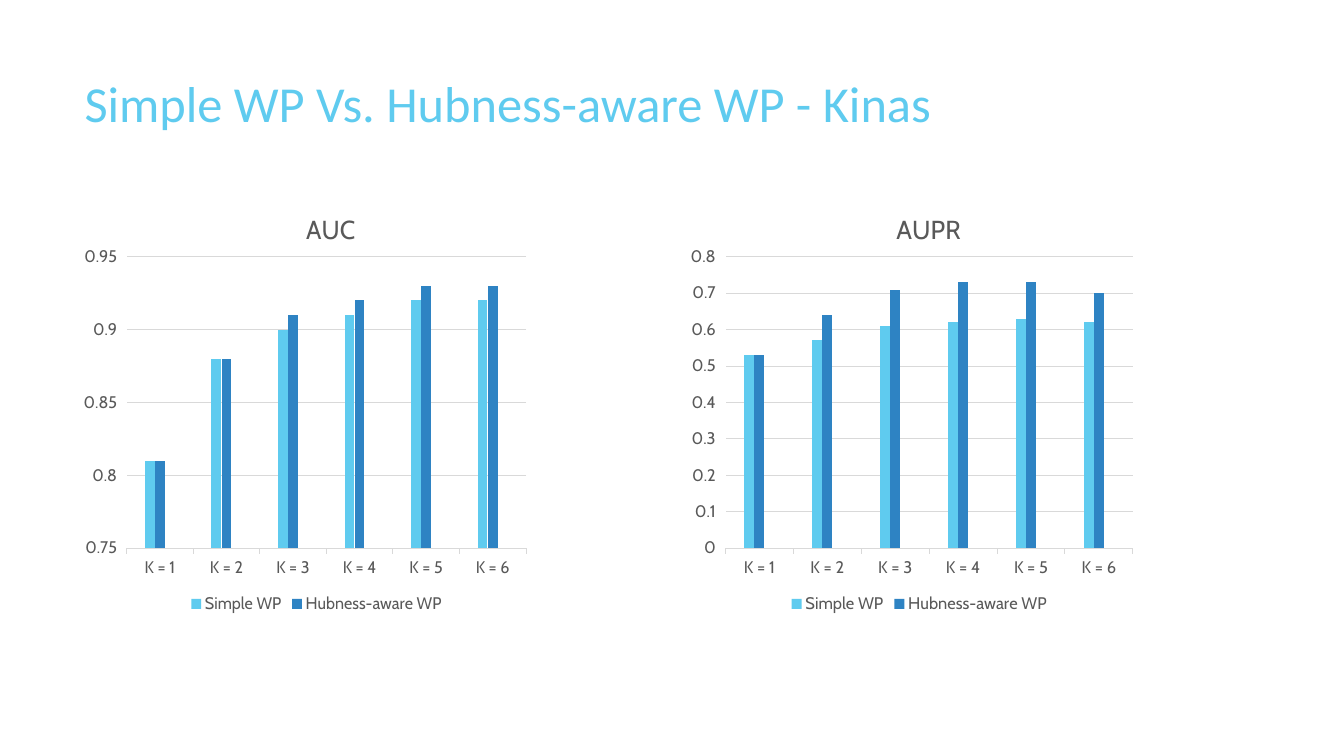
"""Build a slide comparing simple and hubness-aware WP with two column charts."""
from dataclasses import dataclass

from lxml.etree import SubElement
from pptx import Presentation
from pptx.chart.data import CategoryChartData
from pptx.dml.color import RGBColor
from pptx.enum.chart import XL_CHART_TYPE as ChartType, XL_LEGEND_POSITION as LegendPosition
from pptx.enum.chart import XL_TICK_MARK as TickMark
from pptx.oxml import parse_xml
from pptx.oxml.ns import nsdecls, qn
from pptx.util import Inches, Pt

HEADLINE = "Simple WP Vs. Hubness-aware WP - Kinas"
NEIGHBOURS = [f"K = {k}" for k in range(1, 7)]
SPACER = "Series 3"
METRICS = [
    {
        "name": "AUC",
        "scale": (0.75, 0.95, 0.05),
        "title_at": 0.465,
        "scores": {
            "Simple WP": (0.81, 0.88, 0.9, 0.91, 0.92, 0.92),
            "Hubness-aware WP": (0.81, 0.88, 0.91, 0.92, 0.93, 0.93),
        },
    },
    {
        "name": "AUPR",
        "scale": (0, 0.8, 0.1),
        "title_at": 0.437,
        "scores": {
            "Simple WP": (0.53, 0.57, 0.61, 0.62, 0.63, 0.62),
            "Hubness-aware WP": (0.53, 0.64, 0.71, 0.73, 0.73, 0.7),
        },
    },
]


@dataclass(frozen=True)
class Theme:
    headline_font: str = "Calibri"
    chart_font: str = "Cabin"
    headline: str = "5FCBEF"
    series: tuple = ("5FCBEF", "2E83C3", "42D0A2")
    label: str = "595959"
    rule: str = "D9D9D9"
    headline_size: float = 36
    metric_size: float = 18.6
    label_size: float = 12
    rule_width: float = 0.75


THEME = Theme()
WIDTH, HEIGHT = 13.33, 7.5
FIRST_LEFT, COLUMN_STEP = 0.83, 6.02
CHART_TOP, CHART_WIDTH, CHART_HEIGHT = 1.83, WIDTH / 3, 4.3
PLOT = {"x": 0.058, "y": 0.167, "w": 0.929, "h": 0.672}


def style_font(font, name, size, color):
    font.name, font.size, font.bold = name, Pt(size), False
    font.color.rgb = RGBColor.from_string(color)


def style_rule(line):
    line.color.rgb = RGBColor.from_string(THEME.rule)
    line.width = Pt(THEME.rule_width)


def set_layout(parent, index, shares, target=None):
    for old in parent.findall(qn("c:layout")):
        parent.remove(old)
    layout = parse_xml(f"<c:layout {nsdecls('c')}><c:manualLayout/></c:layout>")
    parent.insert(index, layout)
    settings = {"layoutTarget": target} if target else {}
    settings |= {"xMode": "edge", "yMode": "edge"} | shares
    for tag, value in settings.items():
        SubElement(layout[0], qn(f"c:{tag}")).set("val", str(value))


def add_headline(slide):
    box = slide.shapes.add_textbox(Inches(0.74), Inches(0.67), Inches(9.4), Inches(1.44))
    box.text_frame.word_wrap = True
    run = box.text_frame.paragraphs[0].add_run()
    run.text = HEADLINE
    style_font(run.font, THEME.headline_font, THEME.headline_size, THEME.headline)


def style_axes(chart, scale):
    value_axis, category_axis = chart.value_axis, chart.category_axis
    value_axis.minimum_scale, value_axis.maximum_scale, value_axis.major_unit = scale
    value_axis.has_major_gridlines = True
    style_rule(value_axis.major_gridlines.format.line)
    value_axis.format.line.fill.background()
    style_rule(category_axis.format.line)
    for axis in (value_axis, category_axis):
        axis.major_tick_mark, axis.minor_tick_mark = TickMark.OUTSIDE, TickMark.NONE
        style_font(axis.tick_labels.font, THEME.chart_font, THEME.label_size, THEME.label)


def style_legend(chart):
    chart.has_legend = True
    legend = chart.legend
    legend.position, legend.include_in_layout = LegendPosition.BOTTOM, False
    style_font(legend.font, THEME.chart_font, THEME.label_size, THEME.label)
    spacer_index = len(THEME.series) - 1
    hidden = parse_xml(
        f'<c:legendEntry {nsdecls("c")}><c:idx val="{spacer_index}"/>'
        '<c:delete val="1"/></c:legendEntry>'
    )
    chart._chartSpace.find(".//" + qn("c:legendPos")).addnext(hidden)


def add_metric(slide, column, metric):
    data = CategoryChartData(number_format="General")
    data.categories = NEIGHBOURS
    for name, values in metric["scores"].items():
        data.add_series(name, values)
    data.add_series(SPACER, [None] * len(NEIGHBOURS))
    chart = slide.shapes.add_chart(
        ChartType.COLUMN_CLUSTERED,
        Inches(FIRST_LEFT + column * COLUMN_STEP), Inches(CHART_TOP),
        Inches(CHART_WIDTH), Inches(CHART_HEIGHT), data,
    ).chart
    chart.font.name = THEME.chart_font

    chart.has_title = True
    run = chart.chart_title.text_frame.paragraphs[0].add_run()
    run.text = metric["name"]
    style_font(run.font, THEME.chart_font, THEME.metric_size, THEME.label)
    space = chart._chartSpace
    set_layout(space.find(".//" + qn("c:title")), 1, {"x": metric["title_at"], "y": 0.05})
    set_layout(space.find(".//" + qn("c:plotArea")), 0, PLOT, "inner")

    bars = chart.plots[0]
    bars.gap_width, bars.overlap, bars.vary_by_categories = 372, -3, False
    for series, color in zip(bars.series, THEME.series):
        series.format.fill.solid()
        series.format.fill.fore_color.rgb = RGBColor.from_string(color)
    style_axes(chart, metric["scale"])
    style_legend(chart)


def main():
    deck = Presentation()
    deck.slide_width, deck.slide_height = Inches(WIDTH), Inches(HEIGHT)
    slide = deck.slides.add_slide(deck.slide_layouts[6])
    add_headline(slide)
    for column, metric in enumerate(METRICS):
        add_metric(slide, column, metric)
    deck.save("out.pptx")


if __name__ == "__main__":
    main()
